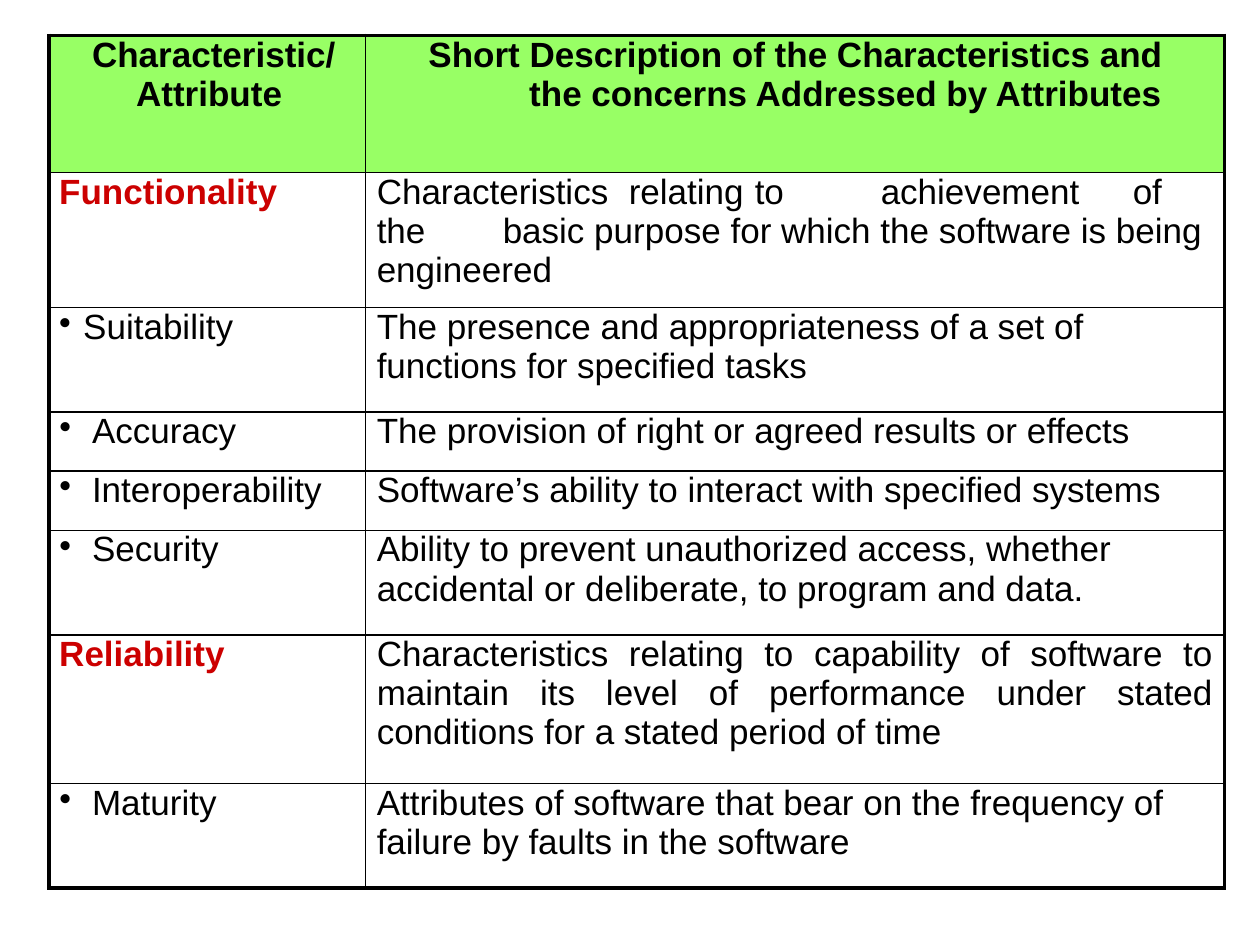
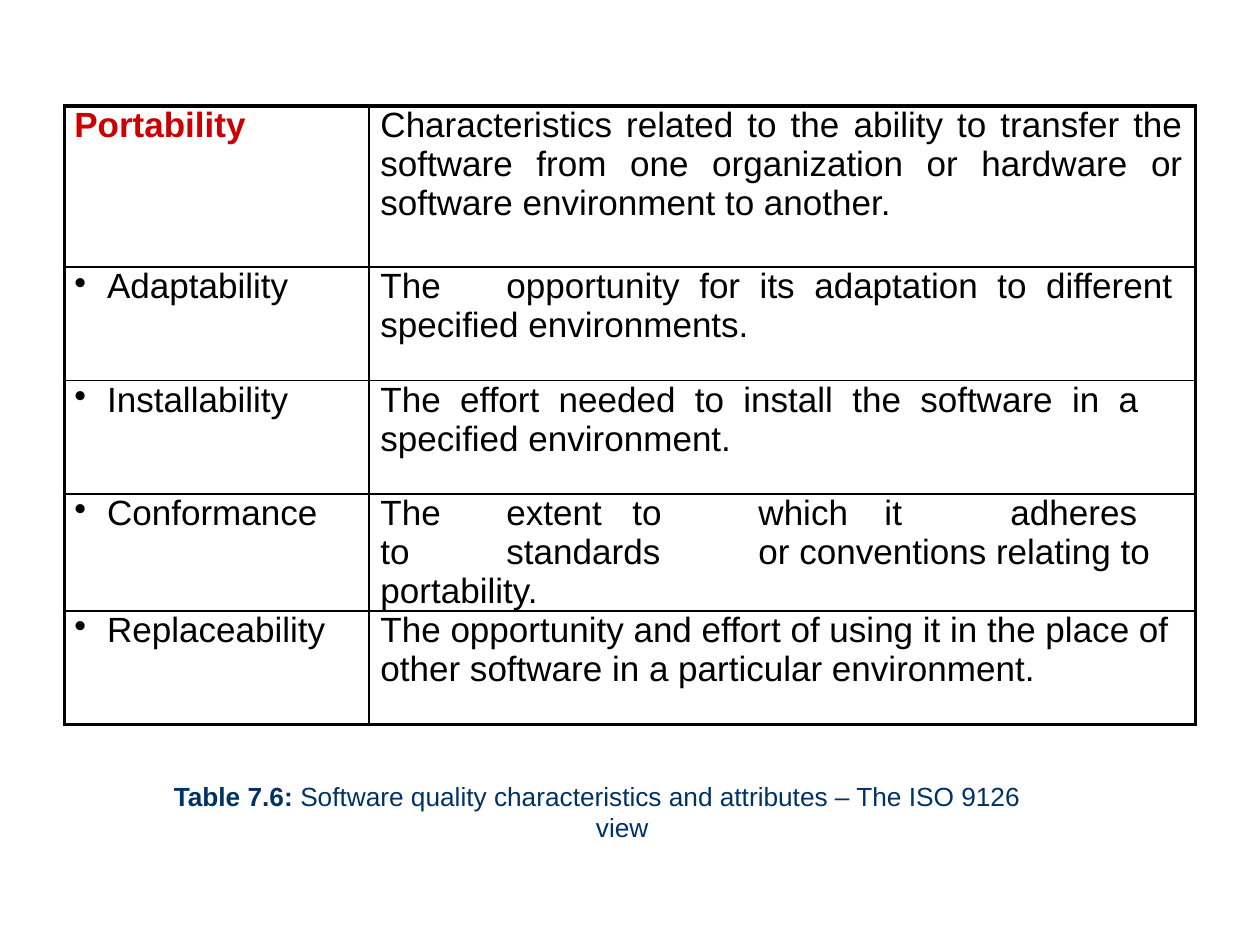
from lxml.etree import SubElement
from pptx import Presentation
from pptx.dml.color import RGBColor
from pptx.enum.text import PP_ALIGN
from pptx.oxml.ns import qn
from pptx.util import Inches, Pt

FONT = "Arial"
BLACK, RED, NAVY, GREEN = "000000", "CC0000", "003265", "98FF65"
BULLET_INDENT = (0.34, -0.26)
CELL_INDENT = (0.09, 0)
HEADER_INDENTS = [(0.69, -0.35), (1.3, -0.8)]
OUTER_LINE, INNER_LINE = 2.25, 1


def style_paragraph(para, size, color, bold, indent):
    para.font.name = FONT
    para.font.size = Pt(size)
    para.font.bold = bold
    para.font.color.rgb = RGBColor.from_string(color)
    properties = para._p.get_or_add_pPr()
    left, first = indent
    properties.set("marL", str(Inches(left)))
    properties.set("indent", str(Inches(first)))
    properties.set("defTabSz", str(Inches(1)))


def add_border(cell, side, width):
    line = SubElement(cell._tc.get_or_add_tcPr(), qn(f"a:ln{side}"), w=str(Pt(width)))
    fill = SubElement(line, qn("a:solidFill"))
    SubElement(fill, qn("a:srgbClr"), val=BLACK)


# Each row: kind, height, characteristic, description, right margin if justified
quality_rows = [
    ("header", 1.09, "Characteristic/ Attribute",
     "Short Description of the Characteristics and the concerns Addressed by Attributes", None),
    ("group", 1.07, "Functionality",
     "Characteristics\trelating\tto\tachievement\tof\tthe\tbasic purpose for which "
     "the software is being engineered", None),
    ("item", 0.83, "Suitability",
     "The presence and appropriateness of a set of functions for specified tasks", None),
    ("item", 0.47, "Accuracy", "The provision of right or agreed results or effects", None),
    ("item", 0.47, "Interoperability",
     "Software’s ability to interact with specified systems", None),
    ("item", 0.83, "Security",
     "Ability to prevent unauthorized access, whether accidental or deliberate, "
     "to program and data.", None),
    ("group", 1.18, "Reliability",
     "Characteristics relating to capability of software to maintain its level of "
     "performance under stated conditions for a stated period of time", 0.09),
    ("item", 0.83, "Maturity",
     "Attributes of software that bear on the frequency of failure by faults "
     "in the software", None),
]
portability_rows = [
    ("group", 1.28, "Portability",
     "Characteristics related to the ability to transfer the software from one "
     "organization or hardware or software environment to another.", 0.1),
    ("item", 0.9, "Adaptability",
     "The\topportunity for its adaptation to different specified environments.", 0.18),
    ("item", 0.9, "Installability",
     "The effort needed to install the software in a specified environment.", 0.45),
    ("item", 0.9, "Conformance",
     "The\textent\tto\twhich\tit\tadheres\tto\tstandards\tor conventions relating "
     "to portability.", None),
    ("item", 0.9, "Replaceability",
     "The opportunity and effort of using it in the place of other software in a "
     "particular environment.", None),
]
tables = [
    (0.39, 0.28, (2.51, 6.82), quality_rows),
    (0.51, 0.84, (2.42, 6.56), portability_rows),
]

deck = Presentation()
deck.slide_width, deck.slide_height = Inches(10), Inches(7.5)

for left, top, widths, rows in tables:
    page = deck.slides.add_slide(deck.slide_layouts[6])
    height = sum(row[1] for row in rows)
    table = page.shapes.add_table(len(rows), 2, Inches(left), Inches(top),
                                  Inches(sum(widths)), Inches(height)).table
    table.first_row = table.horz_banding = False
    for column, width in zip(table.columns, widths):
        column.width = Inches(width)

    for row_index, (kind, row_height, name, description, right_margin) in enumerate(rows):
        table.rows[row_index].height = Inches(row_height)
        for column_index, text in enumerate((name, description)):
            cell = table.cell(row_index, column_index)
            cell.margin_left = cell.margin_top = cell.margin_right = cell.margin_bottom = 0
            outer_sides = {"L": column_index == 0, "R": column_index == 1,
                           "T": row_index == 0, "B": row_index == len(rows) - 1}
            for side, is_outer in outer_sides.items():
                add_border(cell, side, OUTER_LINE if is_outer else INNER_LINE)
            if kind == "header":
                cell.fill.solid()
                cell.fill.fore_color.rgb = RGBColor.from_string(GREEN)
            else:
                cell.fill.background()

            cell.text = text
            para = cell.text_frame.paragraphs[0]
            is_group_name = kind == "group" and column_index == 0
            is_item_name = kind == "item" and column_index == 0
            indent = CELL_INDENT
            if kind == "header":
                indent = HEADER_INDENTS[column_index]
                para.line_spacing = 1.01
            elif is_group_name:
                indent = (0.08, 0)
            elif is_item_name:
                indent = (0.27, -0.19) if name == "Suitability" else BULLET_INDENT
                SubElement(para._p.get_or_add_pPr(), qn("a:buChar"), char="•")
            elif right_margin is not None:
                para.alignment = PP_ALIGN.JUSTIFY
                cell.margin_right = Inches(right_margin)
            style_paragraph(para, 20, RED if is_group_name else BLACK,
                            kind == "header" or is_group_name, indent)

# Caption under the last table
caption = page.shapes.add_textbox(Inches(1.37), Inches(6.19), Inches(7.16), Inches(0.53))
frame = caption.text_frame
frame.word_wrap = True
frame.margin_left = frame.margin_top = frame.margin_right = frame.margin_bottom = 0
para = frame.paragraphs[0]
style_paragraph(para, 15, NAVY, False, (3.36, -3.35))
label = para.add_run()
label.text = "Table 7.6: "
label.font.bold = True
para.add_run().text = "Software quality characteristics and attributes – The ISO 9126 view"

deck.save("out.pptx")
